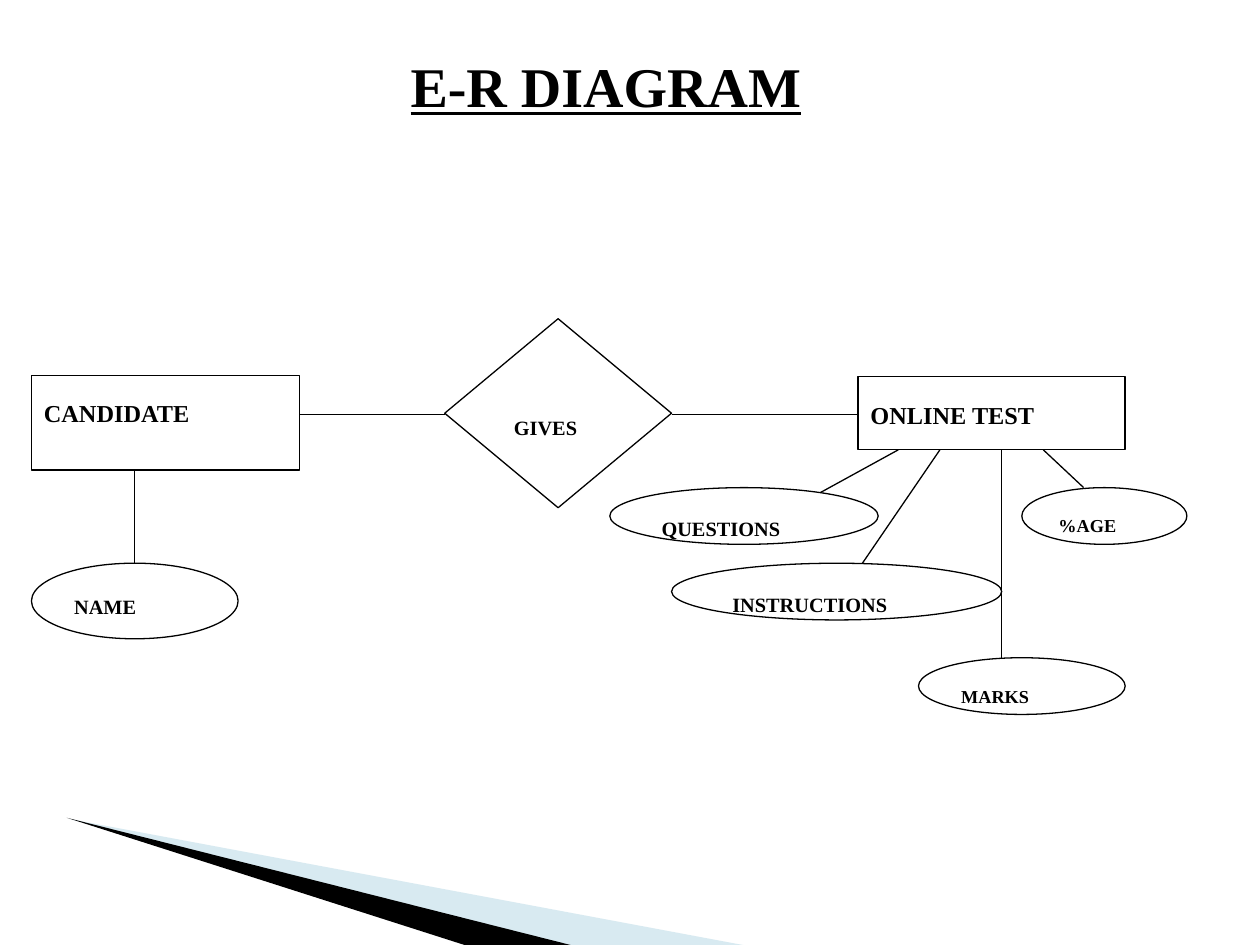
from lxml import etree
from pptx import Presentation
from pptx.dml.color import RGBColor
from pptx.enum.shapes import MSO_CONNECTOR, MSO_SHAPE
from pptx.enum.text import MSO_ANCHOR, PP_ALIGN
from pptx.oxml.ns import qn
from pptx.util import Inches, Pt

RECT, OVAL = MSO_SHAPE.RECTANGLE, MSO_SHAPE.OVAL
DIAMOND = MSO_SHAPE.FLOWCHART_DECISION
STRAIGHT = MSO_CONNECTOR.STRAIGHT
TOP, BOTTOM = MSO_ANCHOR.TOP, MSO_ANCHOR.BOTTOM
LEFT = PP_ALIGN.LEFT

THEME = {
    "font": "Times New Roman",
    "ink": RGBColor(0, 0, 0),
    "paper": RGBColor(255, 255, 255),
    "accent": RGBColor(0x9F, 0xCB, 0xDC),
    "line": 0.75,
    "title": 32,
    "entity": 24,
    "label": 20,
    "small": 18,
}

TITLE = ("E-R DIAGRAM", (2.58, 0.35, 5.75, 0.64))
WEDGES = [
    ([(0.55, 6.5), (5.95, 7.51), (4.56, 7.51)], "accent", 40),
    ([(0.53, 6.49), (4.57, 7.51), (3.72, 7.51)], "ink", 100),
]
LINKS = [
    ((2.22, 3.29), (3.53, 3.29)),
    ((5.33, 3.29), (6.81, 3.29)),
    ((1.07, 3.74), (1.07, 4.49)),
    ((7.13, 3.57), (6.31, 4.02)),
    ((7.46, 3.57), (6.64, 4.77)),
    ((7.95, 3.57), (7.95, 5.22)),
    ((8.28, 3.57), (8.6, 3.87)),
]
NODES = [
    ("GIVES", DIAMOND, (3.53, 2.53, 1.8, 1.5), "label", 0.28),
    ("ONLINE TEST", RECT, (6.81, 2.99, 2.12, 0.58), "entity", 0.05),
    ("CANDIDATE", RECT, (0.25, 2.98, 2.13, 0.75), "entity", 0.05),
    ("QUESTIONS", OVAL, (4.84, 3.87, 2.13, 0.45), "label", 0.05),
    ("INSTRUCTIONS", OVAL, (5.33, 4.47, 2.62, 0.45), "label", 0.05),
    ("NAME", OVAL, (0.25, 4.47, 1.64, 0.6), "label", 0.05),
    ("MARKS", OVAL, (7.29, 5.22, 1.64, 0.45), "small", 0.05),
    ("%AGE", OVAL, (8.11, 3.87, 1.31, 0.45), "small", 0.05),
]


def set_text(sp, text, size, top=0.05, anchor=TOP, indent=0, underline=False, raised=0):
    tf = sp.text_frame
    tf.word_wrap = True
    tf.vertical_anchor = anchor
    tf.margin_top = Inches(top)
    p = tf.paragraphs[0]
    p.alignment = LEFT
    if indent:
        p._p.get_or_add_pPr().set("marL", str(Inches(indent)))
    r = p.add_run()
    r.text = text
    r.font.name = THEME["font"]
    r.font.size = Pt(THEME[size])
    r.font.bold = True
    r.font.color.rgb = THEME["ink"]
    if underline:
        r.font.underline = True
    if raised:
        r._r.get_or_add_rPr().set("baseline", str(raised * 1000))


def add_wedge(s, points, color, opacity):
    corners = [(Inches(x), Inches(y)) for x, y in points]
    builder = s.shapes.build_freeform(*corners[0])
    builder.add_line_segments(corners[1:], close=True)
    sp = builder.convert_to_shape()
    sp.shadow.inherit = False
    sp.fill.solid()
    sp.fill.fore_color.rgb = THEME[color]
    sp.line.fill.background()
    if opacity < 100:
        clr = sp._element.spPr.find(f"{qn('a:solidFill')}/{qn('a:srgbClr')}")
        etree.SubElement(clr, qn("a:alpha")).set("val", str(opacity * 1000))


def add_link(s, start, end):
    cx = s.shapes.add_connector(STRAIGHT, *map(Inches, start + end))
    cx.line.color.rgb = THEME["ink"]
    cx.line.width = Pt(THEME["line"])
    etree.SubElement(cx._element.spPr, qn("a:effectLst"))


def add_node(s, text, kind, box, size, top):
    sp = s.shapes.add_shape(kind, *map(Inches, box))
    sp.shadow.inherit = False
    sp.fill.solid()
    sp.fill.fore_color.rgb = THEME["paper"]
    sp.line.color.rgb = THEME["ink"]
    sp.line.width = Pt(THEME["line"])
    set_text(sp, text, size, top=top, raised=2)


def main():
    prs = Presentation()
    prs.slide_width, prs.slide_height = Inches(10), Inches(7.5)
    s = prs.slides.add_slide(prs.slide_layouts[6])
    for wedge in WEDGES:
        add_wedge(s, *wedge)
    for link in LINKS:
        add_link(s, *link)
    for node in NODES:
        add_node(s, *node)
    text, box = TITLE
    title = s.shapes.add_textbox(*map(Inches, box))
    set_text(title, text, "title", anchor=BOTTOM, indent=0.58, underline=True)
    prs.save("out.pptx")


if __name__ == "__main__":
    main()
